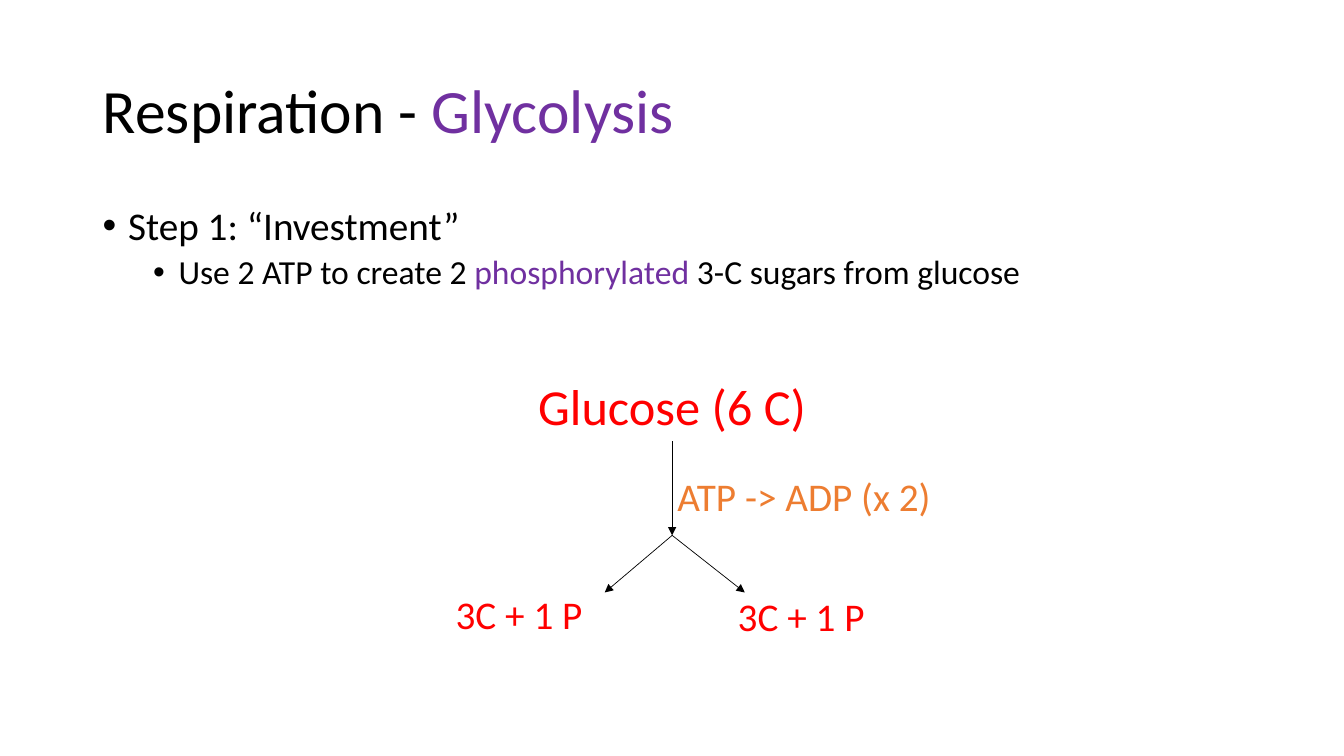
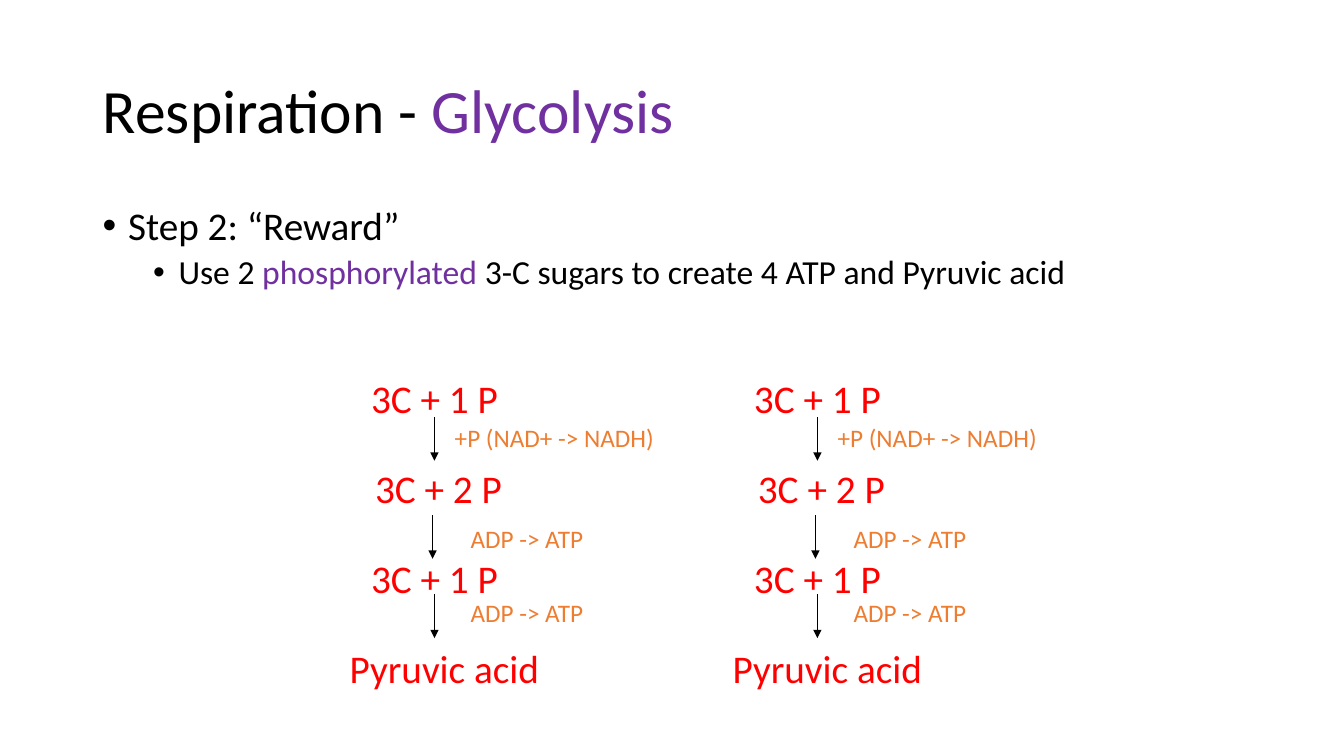
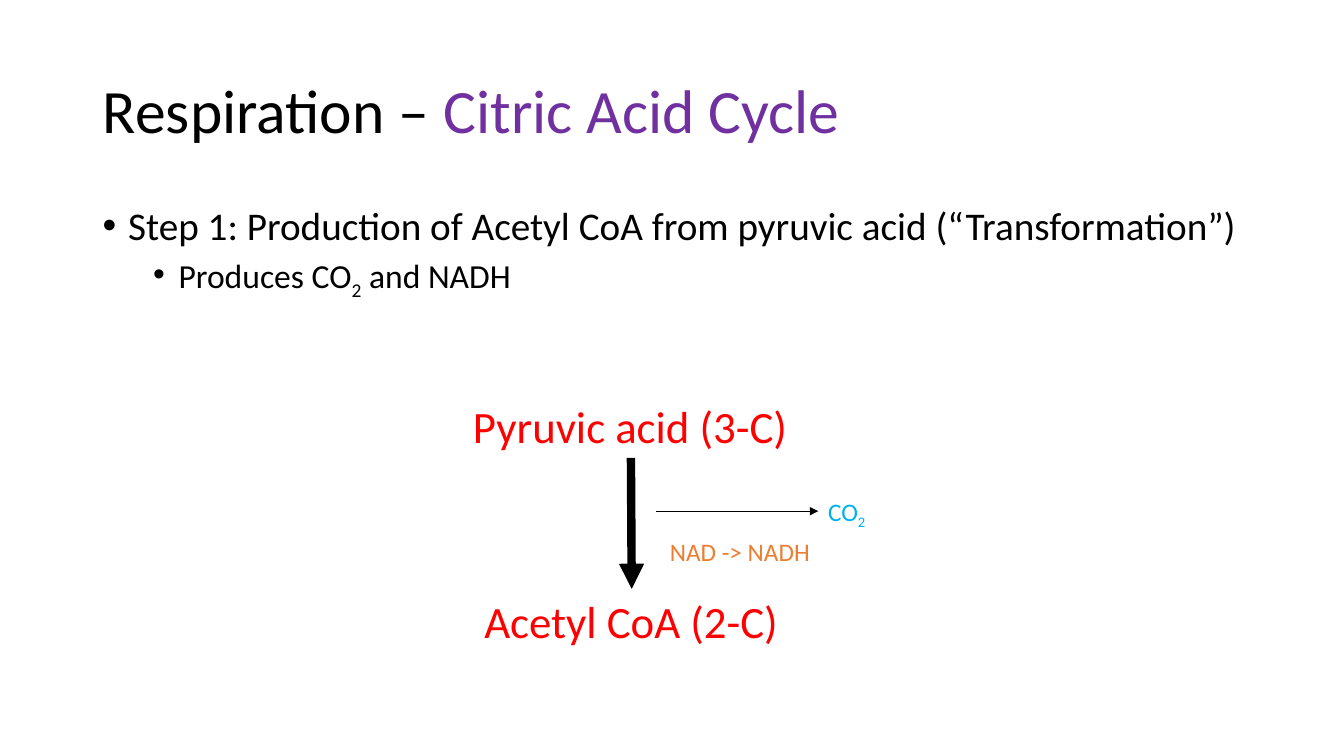
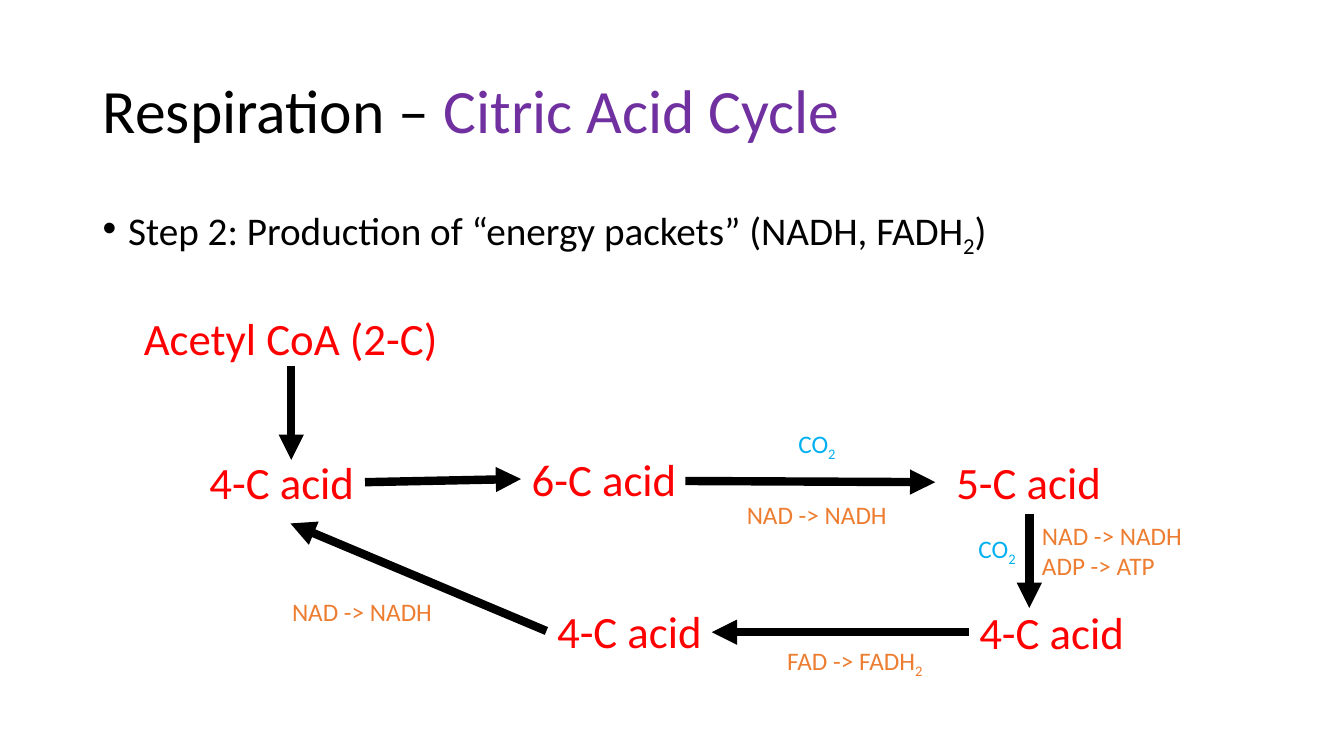
import dataclasses

import lxml.etree
import pptx
import pptx.dml.color
import pptx.enum.shapes
import pptx.enum.text
import pptx.oxml.ns
import pptx.util

Cm = pptx.util.Cm
Pt = pptx.util.Pt


@dataclasses.dataclass(frozen=True)
class TextStyle:
    size: int
    color: str
    centered: bool = False


@dataclasses.dataclass(frozen=True)
class Theme:
    font: str = "Calibri"
    ink: str = "000000"
    emphasis: str = "7030A0"
    title: TextStyle = TextStyle(44, "000000")
    bullets: tuple = (TextStyle(28, "000000"), TextStyle(24, "000000"))
    start: TextStyle = TextStyle(36, "FF0000", True)
    acid: TextStyle = TextStyle(32, "FF0000", True)
    compound: TextStyle = TextStyle(28, "FF0000", True)
    investment: TextStyle = TextStyle(28, "ED7D31")
    reagent: TextStyle = TextStyle(18, "ED7D31")
    gas: TextStyle = TextStyle(18, "00B0F0")
    thin: float = 0.5
    thick: float = 6


@dataclasses.dataclass(frozen=True)
class Box:
    """An area of the slide, in centimetres."""
    left: float
    top: float
    width: float
    height: float


THEME = Theme()
TITLE_BOX = Box(2.34, 1.02, 29.21, 3.68)
BODY_BOX = Box(2.34, 5.08, 29.21, 12.09)
ACID_WIDTH = 4.19
GAS_WIDTH = 1.5
NAD_WIDTH = 4.09


def rgb(color):
    return pptx.dml.color.RGBColor.from_string(color)


def add_element(parent, tag, **attributes):
    return lxml.etree.SubElement(parent, pptx.oxml.ns.qn(tag), attributes)


def write_line(paragraph, text, style):
    """Write text in which *stars* mark emphasis and _ lowers the next character."""
    paragraph.font.name = THEME.font
    paragraph.font.size = Pt(style.size)
    paragraph.font.color.rgb = rgb(style.color)

    def add_run(content, emphasised, lowered=False):
        if not content:
            return
        run = paragraph.add_run()
        run.text = content
        if emphasised:
            run.font.color.rgb = rgb(THEME.emphasis)
        if lowered:
            run._r.get_or_add_rPr().set("baseline", "-25000")

    for index, piece in enumerate(text.split("*")):
        emphasised = index % 2 == 1
        plain, *lowered_parts = piece.split("_")
        add_run(plain, emphasised)
        for part in lowered_parts:
            add_run(part[0], emphasised, lowered=True)
            add_run(part[1:], emphasised)


def add_title(slide, text, box):
    title = slide.shapes.title
    title.left, title.top = Cm(box.left), Cm(box.top)
    title.width, title.height = Cm(box.width), Cm(box.height)
    frame = title.text_frame
    frame.auto_size = pptx.enum.text.MSO_AUTO_SIZE.NONE
    frame.vertical_anchor = pptx.enum.text.MSO_ANCHOR.MIDDLE
    paragraph = frame.paragraphs[0]
    paragraph.alignment = pptx.enum.text.PP_ALIGN.LEFT
    paragraph.line_spacing = 0.9
    write_line(paragraph, text, THEME.title)


def add_bullets(slide, lines, box):
    """Add one bullet for each line, each a level deeper than the one before."""
    body = slide.shapes.add_textbox(Cm(box.left), Cm(box.top), Cm(box.width), Cm(box.height))
    frame = body.text_frame
    frame.word_wrap = True
    for level, text in enumerate(lines):
        paragraph = frame.add_paragraph() if level else frame.paragraphs[0]
        paragraph.level = level
        paragraph.line_spacing = 0.9
        paragraph.space_before = Pt(5 if level else 0)
        properties = paragraph._p.get_or_add_pPr()
        properties.set("marL", str(Cm(0.64 + 1.27 * level)))
        properties.set("indent", str(Cm(-0.64)))
        add_element(properties, "a:buFont", typeface="Arial")
        add_element(properties, "a:buChar", char="•")
        write_line(paragraph, text, THEME.bullets[level])


def add_label(slide, box, left, top, width, style, *lines):
    height = 0.25 + 0.043 * style.size * len(lines)
    label = slide.shapes.add_textbox(
        Cm(box.left + left), Cm(box.top + top), Cm(width), Cm(height))
    frame = label.text_frame
    frame.word_wrap = style.centered
    frame.auto_size = pptx.enum.text.MSO_AUTO_SIZE.SHAPE_TO_FIT_TEXT
    for index, text in enumerate(lines):
        paragraph = frame.add_paragraph() if index else frame.paragraphs[0]
        if style.centered:
            paragraph.alignment = pptx.enum.text.PP_ALIGN.CENTER
        write_line(paragraph, text, style)


def add_arrow(slide, box, start, end, weight):
    arrow = slide.shapes.add_connector(
        pptx.enum.shapes.MSO_CONNECTOR.STRAIGHT,
        Cm(box.left + start[0]), Cm(box.top + start[1]),
        Cm(box.left + end[0]), Cm(box.top + end[1]))
    arrow.line.color.rgb = rgb(THEME.ink)
    arrow.line.width = Pt(weight)
    add_element(arrow.line._get_or_add_ln(), "a:tailEnd", type="triangle")
    add_element(arrow._element.spPr, "a:effectLst")


def draw_investment(slide, box):
    fork = (7.49, 4.17)
    add_label(slide, box, 3.86, 0, 7.26, THEME.start, "Glucose (6 C)")
    for start, end in (((7.49, 1.8), fork), (fork, (5.79, 5.61)), (fork, (9.32, 5.61))):
        add_arrow(slide, box, start, end, THEME.thin)
    add_label(slide, box, 7.37, 2.46, 6.99, THEME.investment, "ATP -> ADP (x 2)")
    for left, top in ((0, 5.44), (7.11, 5.49)):
        add_label(slide, box, left, top, 7.26, THEME.compound, "3C + 1 P")


def draw_reward_pathway(slide, box):
    row_pitch = 2.26
    compounds = ((0, "3C + 1 P"), (0.1, "3C + 2 P"), (0, "3C + 1 P"), (0.25, "Pyruvic acid"))
    for row, (left, text) in enumerate(compounds):
        add_label(slide, box, left, row * row_pitch, 7.26, THEME.compound, text)
    for left, top in ((3.63, 1.19), (3.58, 3.66), (3.63, 5.66)):
        add_arrow(slide, box, (left, top), (left, top + 1.1), THEME.thin)
    add_label(slide, box, 3.89, 1.19, 5.59, THEME.reagent, "+P (NAD+ -> NADH)")
    for top in (3.73, 5.61):
        add_label(slide, box, 4.29, top, 3.38, THEME.reagent, "ADP -> ATP")


def draw_reward(slide, box):
    column_pitch = 9.65
    for column in range(2):
        draw_reward_pathway(
            slide, Box(box.left + column * column_pitch, box.top, column_pitch, box.height))


def draw_transformation(slide, box):
    add_label(slide, box, 0, 0, 8.51, THEME.acid, "Pyruvic acid (3-C)")
    add_arrow(slide, box, (4.27, 1.63), (4.29, 4.93), THEME.thick)
    add_label(slide, box, 0.28, 4.93, 8, THEME.acid, "Acetyl CoA (2-C)")
    add_arrow(slide, box, (4.9, 2.97), (8.99, 2.97), THEME.thin)
    add_label(slide, box, 8.99, 2.46, GAS_WIDTH, THEME.gas, "CO_2")
    add_label(slide, box, 5, 3.48, NAD_WIDTH, THEME.reagent, "NAD -> NADH")


def draw_cycle(slide, box):
    arrows = (
        ((4.01, 1.52), (4.01, 3.89)),
        ((5.87, 4.45), (9.8, 4.37)),
        ((13.94, 4.42), (20.24, 4.45)),
        ((22.61, 5.26), (22.61, 7.62)),
        ((21.08, 8.23), (14.61, 8.23)),
        ((10.44, 8.2), (3.99, 5.49)),
    )
    for start, end in arrows:
        add_arrow(slide, box, start, end, THEME.thick)

    add_label(slide, box, 0, 0, 8, THEME.acid, "Acetyl CoA (2-C)")
    acids = ((1.68, 3.63, 4), (9.8, 3.56, 6), (20.5, 3.63, 5), (21.08, 7.42, 4), (10.44, 7.39, 4))
    for left, top, carbons in acids:
        add_label(slide, box, left, top, ACID_WIDTH, THEME.acid, f"{carbons}-C acid")

    for left, top in ((16.54, 2.97), (21.08, 5.61)):
        add_label(slide, box, left, top, GAS_WIDTH, THEME.gas, "CO_2")
    for left, top in ((15.24, 4.75), (3.78, 7.19)):
        add_label(slide, box, left, top, NAD_WIDTH, THEME.reagent, "NAD -> NADH")
    add_label(slide, box, 22.68, 5.28, NAD_WIDTH, THEME.reagent, "NAD -> NADH", "ADP -> ATP")
    add_label(slide, box, 16.26, 8.43, 3.99, THEME.reagent, "FAD -> FADH_2")


def add_step_slide(presentation, title, bullets, draw_diagram, diagram_box):
    slide = presentation.slides.add_slide(presentation.slide_layouts[5])
    add_title(slide, title, TITLE_BOX)
    add_bullets(slide, bullets, BODY_BOX)
    draw_diagram(slide, diagram_box)


def main():
    presentation = pptx.Presentation()
    presentation.slide_width, presentation.slide_height = Cm(33.87), Cm(19.05)
    glycolysis = "Respiration - *Glycolysis*"
    citric_acid_cycle = "Respiration – *Citric Acid Cycle*"
    steps = (
        (glycolysis,
         ("Step 1: “Investment”",
          "Use 2 ATP to create 2 *phosphorylated* 3-C sugars from glucose"),
         draw_investment, Box(9.45, 9.32, 14.37, 6.94)),
        (glycolysis,
         ("Step 2: “Reward”",
          "Use 2 *phosphorylated* 3-C sugars to create 4 ATP and Pyruvic acid"),
         draw_reward, Box(7.32, 9.32, 19.3, 8.23)),
        (citric_acid_cycle,
         ("Step 1: Production of Acetyl CoA from pyruvic acid (“Transformation”)",
          "Produces CO_2 and NADH"),
         draw_transformation, Box(11.63, 9.91, 10.49, 6.56)),
        (citric_acid_cycle,
         ("Step 2: Production of “energy packets” (NADH, FADH_2)",),
         draw_cycle, Box(3.33, 7.7, 26.77, 9.45)),
    )
    for step in steps:
        add_step_slide(presentation, *step)
    presentation.save("out.pptx")


if __name__ == "__main__":
    main()
